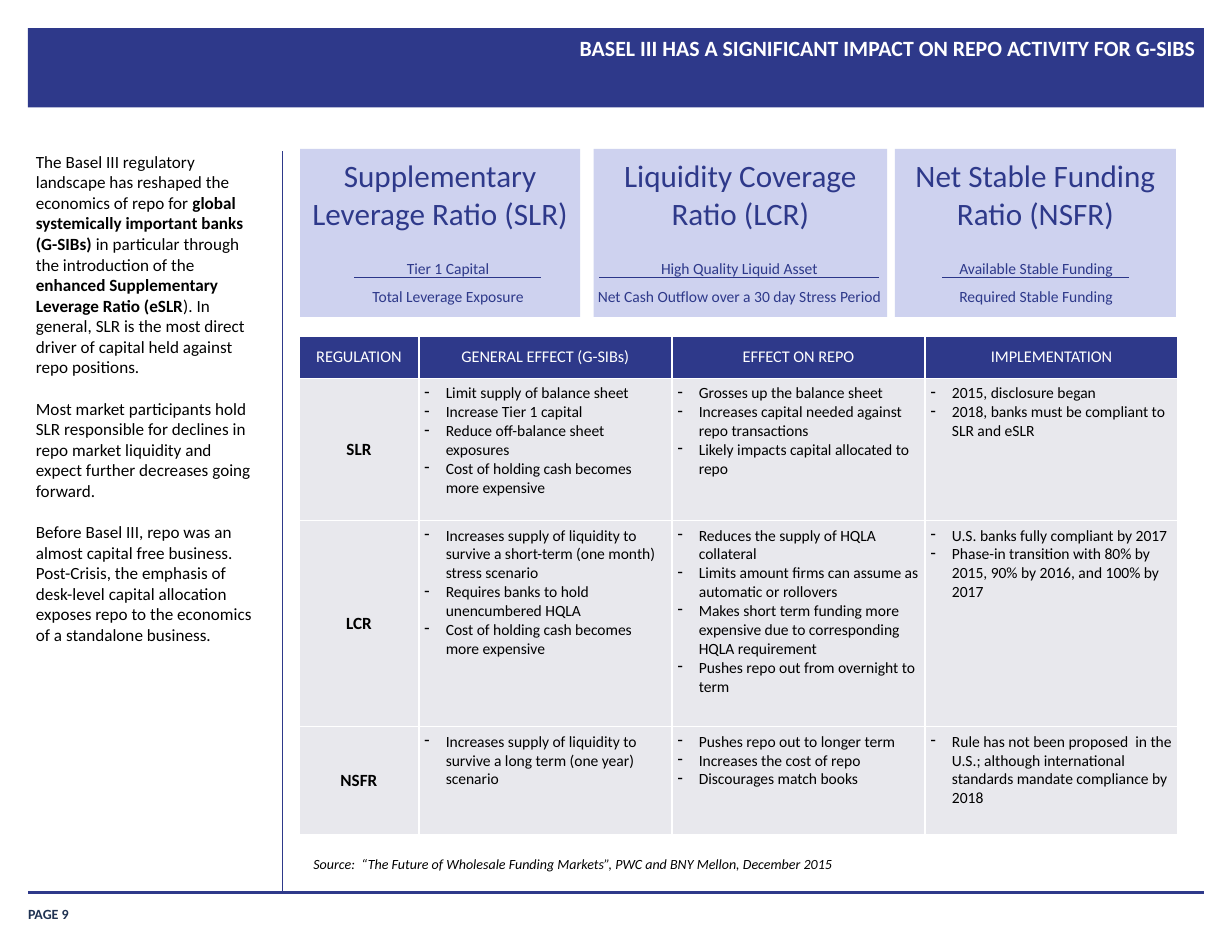
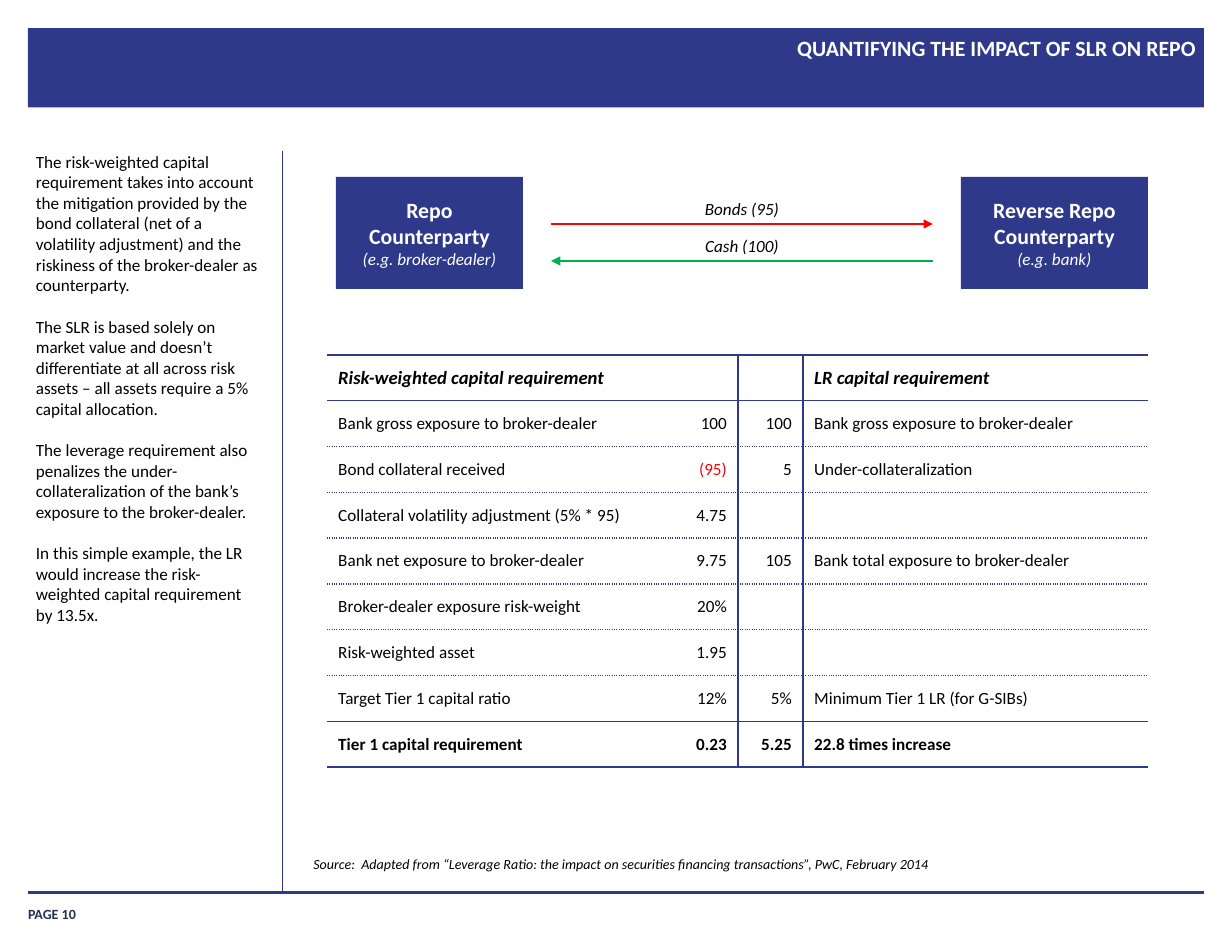
from lxml import etree
from pptx import Presentation
from pptx.dml.color import RGBColor
from pptx.enum.shapes import MSO_CONNECTOR, MSO_SHAPE
from pptx.enum.text import MSO_ANCHOR, MSO_AUTO_SIZE, PP_ALIGN
from pptx.oxml.ns import qn
from pptx.util import Inches, Pt

STRAIGHT, RECT = MSO_CONNECTOR.STRAIGHT, MSO_SHAPE.RECTANGLE
TOP, MIDDLE, BOTTOM = MSO_ANCHOR.TOP, MSO_ANCHOR.MIDDLE, MSO_ANCHOR.BOTTOM
LEFT, CENTER, RIGHT = PP_ALIGN.LEFT, PP_ALIGN.CENTER, PP_ALIGN.RIGHT

FONT = "Calibri"
NAVY, RULE, PALE, GREY = "2E398A", "2B3689", "CED2EF", "E8E8ED"
BLACK, WHITE, RED, GREEN, PAGE = "000000", "FFFFFF", "FF0000", "00B050", "203353"
SOLID, DOTTED = (NAVY, "solid"), (NAVY, "sysDot")


def rgb(color):
    return RGBColor.from_string(color)


def inches(*lengths):
    return [Inches(n) for n in lengths]


def write(tf, paragraphs, size, color=BLACK, bold=False, italic=False,
          align=LEFT, spacing=None, gap=0, bullet=None):
    """Fill a text frame; a paragraph is a string or a list of (text, overrides) runs."""
    for i, runs in enumerate(paragraphs):
        p = tf.paragraphs[0] if i == 0 else tf.add_paragraph()
        if bullet:
            pPr = p._p.get_or_add_pPr()
            pPr.set("marL", str(Inches(0.19)))
            pPr.set("indent", str(-Inches(0.19)))
            etree.SubElement(pPr, qn("a:buChar"), char=bullet)
        p.alignment = align
        if spacing:
            p.line_spacing = spacing
        if gap and i:
            p.space_before = Pt(gap)
        for text, style in [(runs, {})] if isinstance(runs, str) else runs:
            r = p.add_run()
            r.text = text
            r.font.name = FONT
            r.font.size = Pt(style.get("size", size))
            r.font.bold = style.get("bold", bold)
            r.font.italic = style.get("italic", italic)
            r.font.color.rgb = rgb(color)


def set_frame(tf, margins, anchor):
    tf.word_wrap = True
    tf.auto_size = MSO_AUTO_SIZE.NONE
    tf.vertical_anchor = anchor
    tf.margin_left, tf.margin_top, tf.margin_right, tf.margin_bottom = inches(*margins)


def add_text(slide, box, paragraphs, size, margins=(0.1, 0.05, 0.1, 0.05),
             anchor=TOP, **style):
    tf = slide.shapes.add_textbox(*inches(*box)).text_frame
    set_frame(tf, margins, anchor)
    write(tf, paragraphs, size, **style)


def add_box(slide, box, fill):
    sp = slide.shapes.add_shape(RECT, *inches(*box))
    sp.shadow.inherit = False
    sp.fill.solid()
    sp.fill.fore_color.rgb = rgb(fill)
    sp.line.fill.background()
    return sp


def add_line(slide, x1, y1, x2, y2, color, width, arrow=None):
    """Draw a line; arrow is "headEnd" or "tailEnd"."""
    line = slide.shapes.add_connector(STRAIGHT, *inches(x1, y1, x2, y2))
    line.line.color.rgb = rgb(color)
    line.line.width = Pt(width)
    if arrow:
        etree.SubElement(line.line._get_or_add_ln(), qn(f"a:{arrow}"), type="triangle")
    etree.SubElement(line._element.spPr, qn("a:effectLst"))


def set_borders(cell, left=None, right=None, top=None, bottom=None):
    """Give each side a (color, dash) pair, or no line."""
    tcPr = cell._tc.get_or_add_tcPr()
    for tag, side in zip(("lnL", "lnR", "lnT", "lnB"), (left, right, top, bottom)):
        ln = etree.SubElement(tcPr, qn(f"a:{tag}"), w=str(Pt(1)))
        if side is None:
            etree.SubElement(ln, qn("a:noFill"))
            continue
        color, dash = side
        fill = etree.SubElement(ln, qn("a:solidFill"))
        etree.SubElement(fill, qn("a:srgbClr"), val=color)
        etree.SubElement(ln, qn("a:prstDash"), val=dash)


def add_table(slide, left, top, cols, rows):
    frame = slide.shapes.add_table(len(rows), len(cols),
                                   *inches(left, top, sum(cols), sum(rows)))
    table = frame.table
    table.first_row = table.horz_banding = False
    for column, width in zip(table.columns, cols):
        column.width = Inches(width)
    for row, height in zip(table.rows, rows):
        row.height = Inches(height)
    return table


def add_page(prs, number, title, commentary, source):
    """Add a slide with the band, side commentary, source line and footer."""
    slide = prs.slides.add_slide(prs.slide_layouts[5])
    ph = slide.shapes.title
    ph.left, ph.top, ph.width, ph.height = inches(3.17, 0.29, 7.51, 0.67)
    set_frame(ph.text_frame, (0, 0, 0, 0), TOP)
    write(ph.text_frame, [title], 14, color=WHITE, bold=True, align=RIGHT, spacing=1.1)
    band = add_box(slide, (0.25, 0.25, 10.5, 0.71), NAVY)
    ph._element.addprevious(band._element)

    add_line(slide, 0.25, 7.97, 10.75, 7.97, NAVY, 2.25)
    add_line(slide, 2.52, 1.35, 2.52, 7.98, NAVY, 0.5)
    add_text(slide, (0.25, 8.01, 0.91, 0.23), [f"PAGE {number}"], 9, (0, 0, 0, 0),
             BOTTOM, color=PAGE, bold=True)
    add_text(slide, (0.32, 1.35, 2.01, 6.48), commentary, 11, (0, 0, 0, 0), gap=13.4)
    add_text(slide, (2.7, 7.59, 5.8, 0.25), [source], 9, italic=True)
    return slide


def add_ratio_card(slide, box, name, fraction, center, text_width, rule_width):
    """Draw a ratio's name above its fraction, centred at an offset from the card's left."""
    left, top = box[:2]
    tf = add_box(slide, box, PALE).text_frame
    set_frame(tf, (0.1, 0.07, 0.1, 0.05), TOP)
    write(tf, name, 20, color=NAVY, align=CENTER)
    middle = left + center
    add_text(slide, (middle - text_width / 2, top + 0.85, text_width, 0.61), fraction,
             10, color=NAVY, align=CENTER, spacing=1.5)
    add_line(slide, middle - rule_width / 2, top + 1.15,
             middle + rule_width / 2, top + 1.15, RULE, 0.75)


def add_regulation_table(slide, left, top, header, regulations):
    table = add_table(slide, left, top, [1.07] + [2.26] * 3, [0.38, 1.27, 1.84, 0.96])
    white = (WHITE, "solid")
    for i, row in enumerate([header] + regulations):
        for j, content in enumerate(row):
            cell = table.cell(i, j)
            set_borders(cell, white, white, white, white)
            cell.fill.solid()
            cell.fill.fore_color.rgb = rgb(GREY if i else NAVY)
            if i and j:
                cell.margin_left = cell.margin_right = Inches(0.05)
                write(cell.text_frame, content, 10, bullet="-")
                continue
            cell.vertical_anchor = MIDDLE
            if i:
                write(cell.text_frame, [content], 11, bold=True, align=CENTER)
            else:
                write(cell.text_frame, [content], 10.5, color=WHITE, align=CENTER)


def add_counterparty(slide, box, name, example):
    tf = add_box(slide, box, NAVY).text_frame
    set_frame(tf, (0.1, 0.05, 0.1, 0.05), MIDDLE)
    write(tf, [*name, [(example, {"size": 11, "bold": False, "italic": True})]], 14,
          color=WHITE, bold=True, align=CENTER)


def add_repo_flow(slide, left, top):
    """Draw the two counterparties and the flows between them."""
    width = 1.67
    add_counterparty(slide, (left, top, width, 1), ["Repo", "Counterparty"],
                     "(e.g. broker-dealer)")
    add_counterparty(slide, (left + 5.58, top, width, 1),
                     ["Reverse Repo", "Counterparty"], "(e.g. bank)")
    flows = [("Bonds (95)", RED, "tailEnd"), ("Cash (100)", GREEN, "headEnd")]
    for i, (label, color, arrow) in enumerate(flows):
        y = top + 0.42 + 0.33 * i
        add_line(slide, left + 1.92, y, left + 5.33, y, color, 0.75, arrow)
        add_text(slide, (left + 2.54, y - 0.28, 2.17, 0.29), [label], 11,
                 italic=True, align=CENTER)


def add_capital_table(slide, left, top, rows):
    table = add_table(slide, left, top, [3, 0.67, 0.58, 3.08], [3.68 / len(rows)] * len(rows))
    last = len(rows) - 1
    for i, row in enumerate(rows):
        above = SOLID if i in (0, 1, last) else DOTTED
        below = SOLID if i in (0, last - 1, last) else DOTTED
        for j, text in enumerate(row):
            cell = table.cell(i, j)
            set_borders(cell, SOLID if j in (2, 3) else None,
                        SOLID if j in (1, 2) else None, above, below)
            cell.fill.background()
            cell.vertical_anchor = MIDDLE
            if text:
                write(cell.text_frame, [text], 11 if i else 12,
                      color=RED if text.startswith("(") else BLACK,
                      bold=i in (0, last), italic=i == 0,
                      align=RIGHT if j in (1, 2) else LEFT)


def build_basel_slide(prs):
    bold = {"bold": True}
    commentary = [
        [("The Basel III regulatory landscape has reshaped the economics of repo for ", {}),
         ("global systemically important banks (G-SIBs)", bold),
         (" in particular through the introduction of the ", {}),
         ("enhanced Supplementary Leverage Ratio (eSLR", bold),
         ("). In general, SLR is the most direct driver of capital held against repo "
          "positions.", {})],
        "Most market participants hold SLR responsible for declines in repo market "
        "liquidity and expect further decreases going forward.",
        "Before Basel III, repo was an almost capital free business. Post-Crisis, the "
        "emphasis of desk-level capital allocation exposes repo to the economics of a "
        "standalone business.",
    ]
    slide = add_page(
        prs, 9, "BASEL III HAS A SIGNIFICANT IMPACT ON REPO ACTIVITY FOR G-SIBS", commentary,
        "Source:  “The Future of Wholesale Funding Markets”, PWC and BNY Mellon, December 2015")
    cards = [
        (2.68, 2.5, ["Supplementary", "Leverage Ratio (SLR)"],
         ["Tier 1 Capital", "Total Leverage Exposure"], 1.32, 1.67, 1.67),
        (5.3, 2.62, ["Liquidity Coverage Ratio (LCR)"],
         ["High Quality Liquid Asset", "Net Cash Outflow over a 30 day Stress Period"],
         1.3, 2.82, 2.5),
        (7.99, 2.51, ["Net Stable Funding Ratio (NSFR)"],
         ["Available Stable Funding", "Required Stable Funding"], 1.26, 1.67, 1.67),
    ]
    for left, width, *content in cards:
        add_ratio_card(slide, (left, 1.33, width, 1.5), *content)
    add_regulation_table(
        slide, 2.67, 3,
        ["REGULATION", "GENERAL EFFECT (G-SIBs)", "EFFECT ON REPO", "IMPLEMENTATION"],
        [["SLR",
          ["Limit supply of balance sheet", "Increase Tier 1 capital",
           "Reduce off-balance sheet exposures",
           "Cost of holding cash becomes more expensive"],
          ["Grosses up the balance sheet",
           "Increases capital needed against repo transactions",
           "Likely impacts capital allocated to repo"],
          ["2015, disclosure began", "2018, banks must be compliant to SLR and eSLR"]],
         ["LCR",
          ["Increases supply of liquidity to survive a short-term (one month) stress scenario",
           "Requires banks to hold unencumbered HQLA",
           "Cost of holding cash becomes more expensive"],
          ["Reduces the supply of HQLA collateral",
           "Limits amount firms can assume as automatic or rollovers",
           "Makes short term funding more expensive due to corresponding HQLA requirement",
           "Pushes repo out from overnight to term"],
          ["U.S. banks fully compliant by 2017",
           "Phase-in transition with 80% by 2015, 90% by 2016, and 100% by 2017"]],
         ["NSFR",
          ["Increases supply of liquidity to survive a long term (one year) scenario"],
          ["Pushes repo out to longer term", "Increases the cost of repo",
           "Discourages match books"],
          ["Rule has not been proposed  in the U.S.; although international standards "
           "mandate compliance by 2018"]]])


def build_slr_slide(prs):
    commentary = [
        "The risk-weighted capital requirement takes into account the mitigation provided "
        "by the bond collateral (net of a volatility adjustment) and the riskiness of the "
        "broker-dealer as counterparty.",
        "The SLR is based solely on market value and doesn’t differentiate at all across "
        "risk assets – all assets require a 5% capital allocation.",
        "The leverage requirement also penalizes the under-collateralization of the bank’s "
        "exposure to the broker-dealer.",
        "In this simple example, the LR would increase the risk-weighted capital "
        "requirement by 13.5x.",
    ]
    slide = add_page(
        prs, 10, "QUANTIFYING THE IMPACT OF SLR ON REPO", commentary,
        "Source:  Adapted from “Leverage Ratio: the impact on securities financing "
        "transactions”, PwC, February 2014")
    add_repo_flow(slide, 3, 1.58)
    add_capital_table(slide, 2.92, 3.17, [
        ("Risk-weighted capital requirement", "", "", "LR capital requirement"),
        ("Bank gross exposure to broker-dealer", "100", "100",
         "Bank gross exposure to broker-dealer"),
        ("Bond collateral received", "(95)", "5", "Under-collateralization"),
        ("Collateral volatility adjustment (5% * 95)", "4.75", "", ""),
        ("Bank net exposure to broker-dealer", "9.75", "105",
         "Bank total exposure to broker-dealer"),
        ("Broker-dealer exposure risk-weight", "20%", "", ""),
        ("Risk-weighted asset", "1.95", "", ""),
        ("Target Tier 1 capital ratio", "12%", "5%", "Minimum Tier 1 LR (for G-SIBs)"),
        ("Tier 1 capital requirement", "0.23", "5.25", "22.8 times increase"),
    ])


def main():
    prs = Presentation()
    prs.slide_width, prs.slide_height = inches(11, 8.5)
    build_basel_slide(prs)
    build_slr_slide(prs)
    prs.save("out.pptx")


if __name__ == "__main__":
    main()
